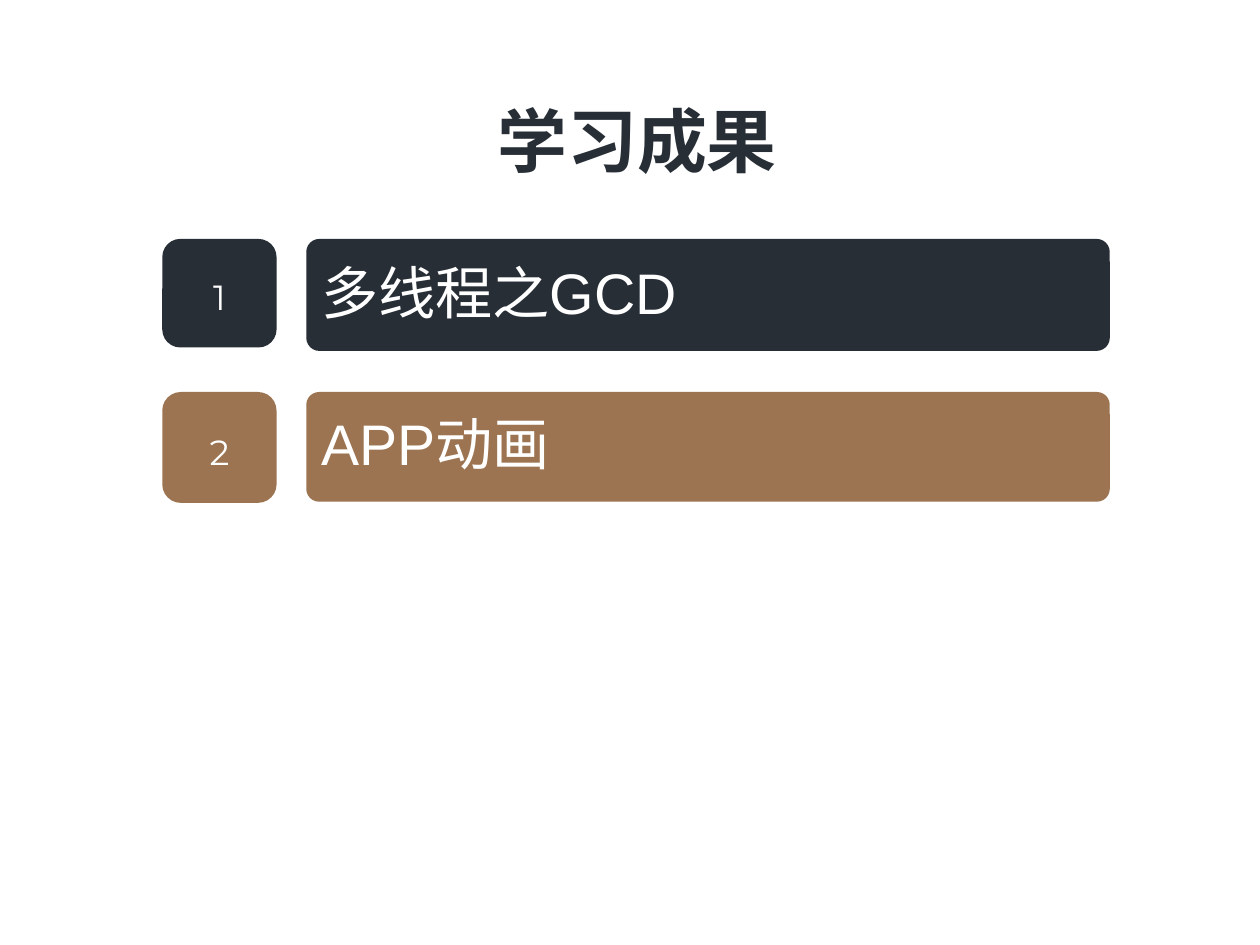
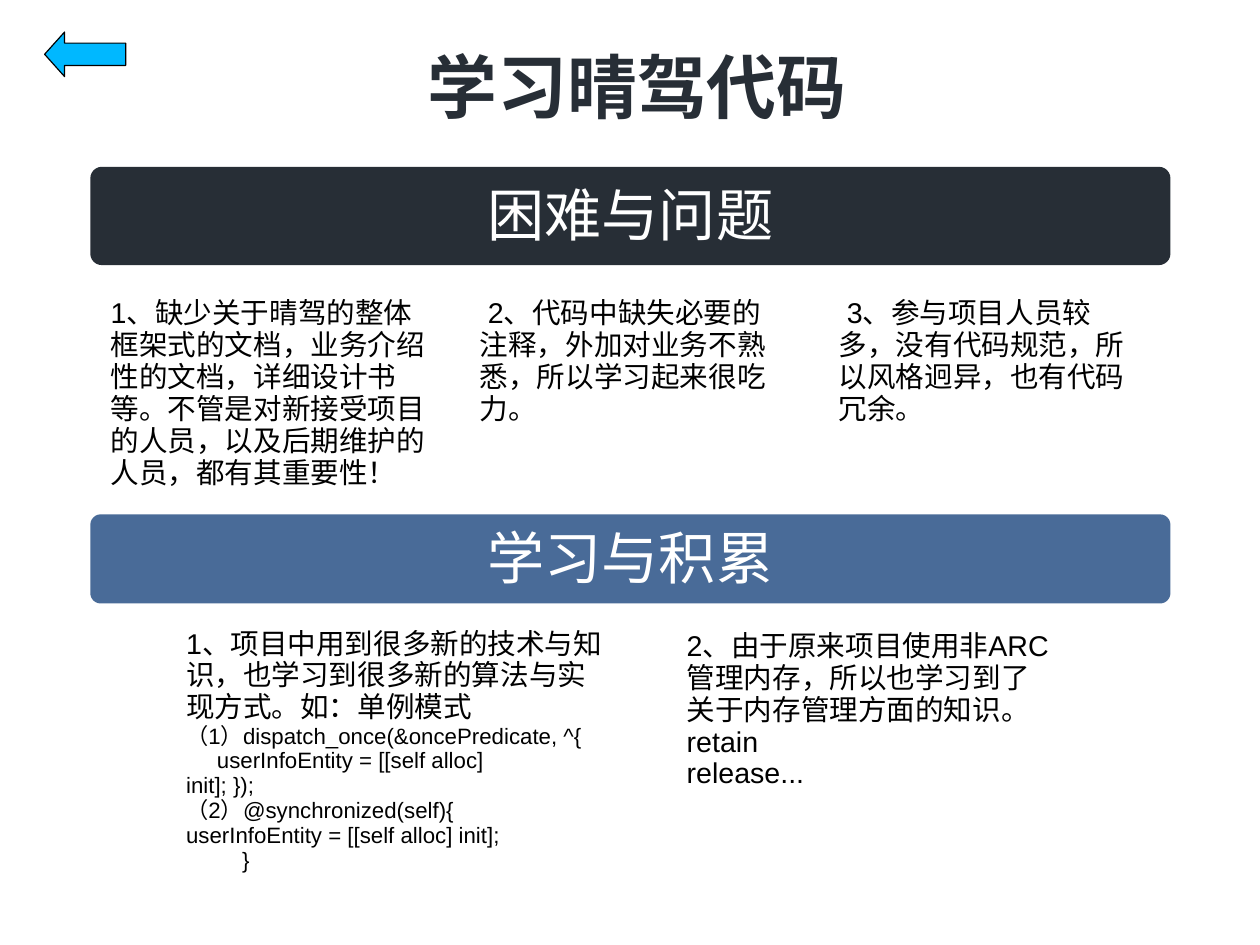
from pptx import Presentation
from pptx import util as u
from pptx.dml.color import RGBColor
from pptx.enum import lang, shapes, text

PX = 9144  # EMU, 100 px to the inch
WIDTH, HEIGHT = u.Mm(280), u.Mm(210)

DARK, BROWN, BLUE = "272E36", "9C7451", "496B98"
CYAN, WHITE, BLACK = "00B8FF", "FFFFFF", "000000"
BODY_FONT, DISPLAY_FONT = "Arial", "Montserrat"
BODY_SPACING, DISPLAY_SPACING = 0.93, 1.18
LEFT, CENTER = text.PP_ALIGN.LEFT, text.PP_ALIGN.CENTER
TOP, MIDDLE = text.MSO_ANCHOR.TOP, text.MSO_ANCHOR.MIDDLE


def px(*lengths):
    return [u.Emu(length * PX) for length in lengths]


def rgb(color):
    return RGBColor.from_string(color)


def set_frame(frame, anchor, margin_top=5):
    frame.word_wrap = True
    frame.auto_size = text.MSO_AUTO_SIZE.NONE
    frame.vertical_anchor = anchor
    frame.margin_left, frame.margin_top, frame.margin_right, frame.margin_bottom = px(
        10, margin_top, 10, 5)


def set_paragraph(paragraph, size, color, align=LEFT, face=BODY_FONT,
                  spacing=BODY_SPACING, bold=False, indent=0):
    """Format a filled paragraph; indent moves its first line, in px."""
    paragraph.alignment = align
    paragraph.line_spacing = spacing
    paragraph.space_before = paragraph.space_after = u.Pt(0)
    properties = paragraph._p.get_or_add_pPr()
    properties.set("marL", "0")
    properties.set("indent", str(indent * PX))
    properties.set("hangingPunct", "0")
    for run in paragraph.runs:
        run.font.size = u.Pt(size)
        run.font.name = face
        run.font.bold = bold
        run.font.color.rgb = rgb(color)
        run.font.language_id = lang.MSO_LANGUAGE_ID.SIMPLIFIED_CHINESE


def add_titled_slide(deck, wording, top):
    slide = deck.slides.add_slide(deck.slide_layouts[5])
    title = slide.shapes.title
    title.left, title.top, title.width, title.height = px(79, top, 957, 96)
    title.text_frame.text = wording
    set_frame(title.text_frame, TOP)
    set_paragraph(title.text_frame.paragraphs[0], 44, DARK, CENTER,
                  DISPLAY_FONT, DISPLAY_SPACING, bold=True)
    return slide


def add_filled_shape(slide, kind, box, fill, adjustments):
    shape = slide.shapes.add_shape(kind, *px(*box))
    shape.shadow.inherit = False
    shape.fill.solid()
    shape.fill.fore_color.rgb = rgb(fill)
    shape.line.fill.background()
    for index, value in enumerate(adjustments):
        shape.adjustments[index] = value
    return shape


def add_block(slide, box, fill, wording, rounding=0.117, margin_top=5,
              size=36, **style):
    """Rounded rectangle with one line of white text."""
    block = add_filled_shape(slide, shapes.MSO_SHAPE.ROUNDED_RECTANGLE, box,
                             fill, [rounding])
    block.text_frame.text = wording
    set_frame(block.text_frame, MIDDLE, margin_top)
    set_paragraph(block.text_frame.paragraphs[0], size, WHITE, **style)


def add_numbered_row(slide, number, top, heights, fill, wording):
    number_height, bar_height = heights
    add_block(slide, (142, top, 100, number_height), fill, str(number),
              rounding=0.167, size=22, align=CENTER, face=DISPLAY_FONT,
              spacing=DISPLAY_SPACING)
    add_block(slide, (268, top, 703, bar_height), fill, wording)


def add_section_bar(slide, top, height, fill, wording):
    add_block(slide, (79, top, 945, height), fill, wording, margin_top=7,
              align=CENTER)


def add_note(slide, box, lines):
    """Text box; each line is (wording, size, first-line indent)."""
    frame = slide.shapes.add_textbox(*px(*box)).text_frame
    set_frame(frame, TOP)
    frame.text = "\n".join(wording for wording, _, _ in lines)
    for paragraph, (_, size, indent) in zip(frame.paragraphs, lines):
        set_paragraph(paragraph, size, BLACK, indent=indent)


def add_back_arrow(slide):
    arrow = add_filled_shape(slide, shapes.MSO_SHAPE.LEFT_ARROW,
                             (39, 28, 71, 39), CYAN, [0.5, 0.449])
    arrow.line.color.rgb = rgb(BLACK)
    arrow.line.width = u.Pt(0.75)


def build_results(deck):
    slide = add_titled_slide(deck, "学习成果", 67)
    topics = [("多线程之GCD", DARK, (95, 98)), ("APP动画", BROWN, (97, 96))]
    for index, (topic, fill, heights) in enumerate(topics):
        add_numbered_row(slide, index + 1, 209 + 134 * index, heights, fill, topic)


def build_code_study(deck):
    slide = add_titled_slide(deck, "学习晴驾代码", 20)
    add_back_arrow(slide)

    add_section_bar(slide, 146, 86, DARK, "困难与问题")
    problems = [
        (87, 299, 177, 0,
         "1、缺少关于晴驾的整体框架式的文档，业务介绍性的文档，详细设计书等。"
         "不管是对新接受项目的人员，以及后期维护的人员，都有其重要性！"),
        (410, 284, 122, 7,
         "2、代码中缺失必要的注释，外加对业务不熟悉，所以学习起来很吃力。"),
        (724, 284, 122, 7,
         "3、参与项目人员较多，没有代码规范，所以风格迥异，也有代码冗余。"),
    ]
    for left, width, height, indent, problem in problems:
        add_note(slide, (left, 256, width, height), [(problem, 18, indent)])

    add_section_bar(slide, 450, 78, BLUE, "学习与积累")
    add_note(slide, (153, 545, 391, 224), [
        ("1、项目中用到很多新的技术与知识，也学习到很多新的算法与实现方式。如：单例模式", 18, 0),
        ("（1）dispatch_once(&oncePredicate, ^{", 14, 0),
        ("userInfoEntity = [[self alloc]\vinit]; });", 14, 27),
        ("（2）@synchronized(self){", 14, 0),
        ("userInfoEntity = [[self alloc] init];", 14, 0),
        ("}", 14, 49),
    ])
    add_note(slide, (591, 547, 339, 177), [
        ("2、由于原来项目使用非ARC管理内存，所以也学习到了关于内存管理方面的知识。", 18, 0),
        ("retain", 18, 0),
        ("release...", 18, 0),
    ])


def main():
    deck = Presentation()
    deck.slide_width, deck.slide_height = WIDTH, HEIGHT
    build_results(deck)
    build_code_study(deck)
    deck.save("out.pptx")


if __name__ == "__main__":
    main()
